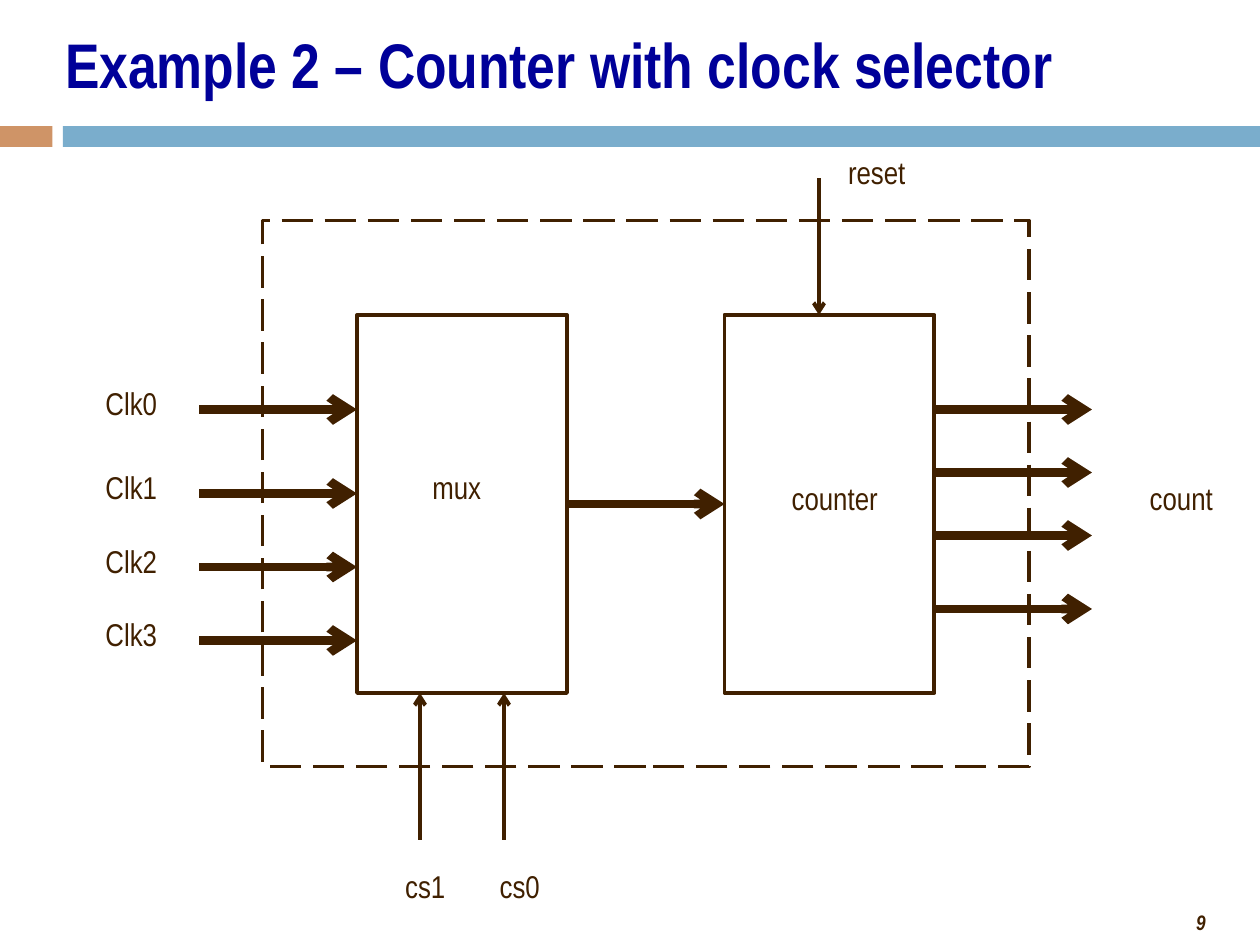
from dataclasses import dataclass

from lxml.etree import SubElement
from pptx import Presentation
from pptx.dml.color import RGBColor
from pptx.enum.dml import MSO_LINE
from pptx.enum.shapes import MSO_CONNECTOR, MSO_SHAPE
from pptx.enum.text import MSO_ANCHOR, MSO_AUTO_SIZE, PP_ALIGN
from pptx.oxml.ns import qn
from pptx.util import Emu, Pt

SCALE = 7620  # EMU per px, 120 px to the inch
FONT = "Arial Narrow"
BROWN, NAVY, TAN, BLUE = "402000", "000099", "CF9467", "7AADCC"
THIN, THICK = 2.25, 5


@dataclass
class Box:
    x: int
    y: int
    w: int
    h: int
    fill: str | None = None
    line: str | None = None
    dash: bool = False


@dataclass
class Arrow:
    x1: int
    y1: int
    x2: int
    y2: int
    width: float = THICK


@dataclass
class Label:
    text: str
    x: int
    y: int


def px(n: int) -> Emu:
    return Emu(n * SCALE)


def color(code: str) -> RGBColor:
    return RGBColor.from_string(code)


def write(frame, text: str, *, size: int = 18, hue: str = BROWN,
          bold: bool = False, italic: bool = False,
          align=PP_ALIGN.CENTER, anchor=MSO_ANCHOR.TOP) -> None:
    frame.word_wrap = True
    frame.auto_size = MSO_AUTO_SIZE.NONE
    frame.vertical_anchor = anchor
    para = frame.paragraphs[0]
    para.alignment = align
    run = para.add_run()
    run.text = text
    font = run.font
    font.name, font.size = FONT, Pt(size)
    font.bold, font.italic = bold, italic
    font.color.rgb = color(hue)


def place(shape, x: int, y: int, w: int, h: int) -> None:
    shape.left, shape.top, shape.width, shape.height = map(px, (x, y, w, h))


def draw_box(slide, box: Box) -> None:
    shape = slide.shapes.add_shape(
        MSO_SHAPE.RECTANGLE, px(box.x), px(box.y), px(box.w), px(box.h))
    shape.shadow.inherit = False
    if box.fill:
        shape.fill.solid()
        shape.fill.fore_color.rgb = color(box.fill)
    else:
        shape.fill.background()
    if box.line:
        shape.line.color.rgb = color(box.line)
        shape.line.width = Pt(THIN)
    else:
        shape.line.fill.background()
    if box.dash:
        shape.line.dash_style = MSO_LINE.LONG_DASH


def draw_arrow(slide, arrow: Arrow) -> None:
    link = slide.shapes.add_connector(
        MSO_CONNECTOR.STRAIGHT, px(arrow.x1), px(arrow.y1),
        px(arrow.x2), px(arrow.y2))
    link.line.color.rgb = color(BROWN)
    link.line.width = Pt(arrow.width)
    SubElement(link.line._get_or_add_ln(), qn("a:tailEnd"), type="arrow")
    SubElement(link._element.spPr, qn("a:effectLst"))


def draw_label(slide, label: Label) -> None:
    shape = slide.shapes.add_textbox(
        px(label.x), px(label.y), px(150), px(48))
    write(shape.text_frame, label.text)


def main() -> None:
    deck = Presentation()
    deck.slide_width, deck.slide_height = px(1200), px(900)
    slide = deck.slides.add_slide(deck.slide_layouts[5])

    title = slide.shapes.title
    place(title, 50, 10, 1100, 100)
    write(title.text_frame, "Example 2 – Counter with clock selector",
          size=36, hue=NAVY, bold=True, align=PP_ALIGN.LEFT,
          anchor=MSO_ANCHOR.MIDDLE)

    page = slide.shapes.add_textbox(px(900), px(860), px(260), px(36))
    write(page.text_frame, "9", size=12, bold=True, italic=True,
          align=PP_ALIGN.RIGHT)

    clocks = [390, 470, 540, 610]
    counts = [390, 450, 510, 580]

    boxes = [
        Box(0, 120, 50, 20, fill=TAN),
        Box(60, 120, 1140, 20, fill=BLUE),
        Box(340, 300, 200, 360, line=BROWN),
        Box(690, 300, 200, 360, line=BROWN),
        Box(250, 210, 730, 520, line=BROWN, dash=True),
    ]
    arrows = [
        *(Arrow(190, y, 340, y) for y in clocks),
        Arrow(540, 480, 690, 480),
        *(Arrow(890, y, 1040, y) for y in counts),
        *(Arrow(x, 800, x, 660, THIN) for x in (400, 480)),
        Arrow(780, 170, 780, 300, THIN),
    ]
    labels = [
        *(Label(f"Clk{i}", 50, y - 30) for i, y in enumerate(clocks)),
        Label("count", 1050, 450),
        Label("reset", 760, 140),
        Label("cs1", 330, 820),
        Label("cs0", 420, 820),
        Label("mux", 360, 440),
        Label("counter", 720, 450),
    ]
    for box in boxes:
        draw_box(slide, box)
    for arrow in arrows:
        draw_arrow(slide, arrow)
    for label in labels:
        draw_label(slide, label)

    deck.save("out.pptx")


if __name__ == "__main__":
    main()
